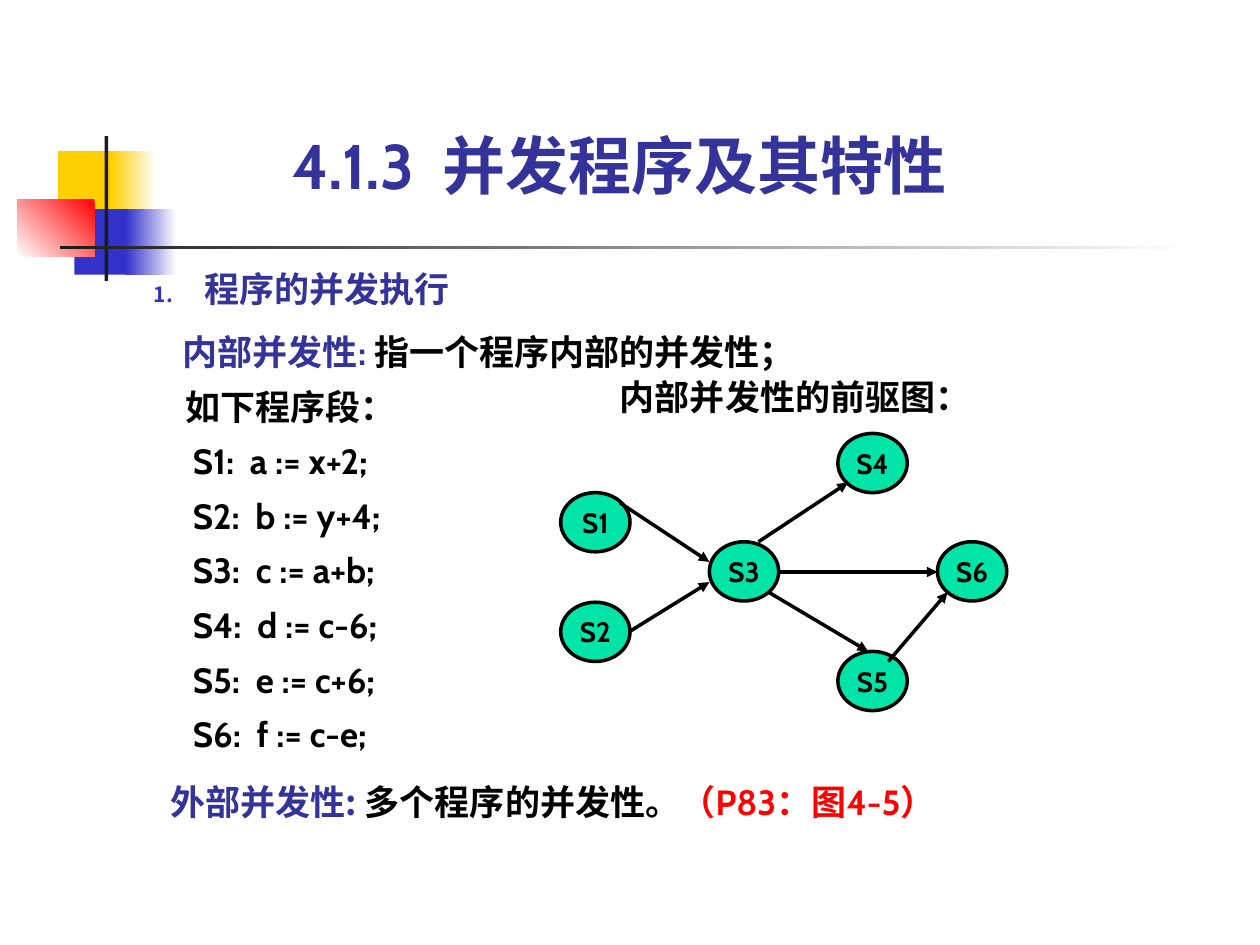
import pptx
import pptx.dml.color
import pptx.enum.shapes
import pptx.enum.text
import pptx.oxml
import pptx.oxml.ns
import pptx.util

Inches = pptx.util.Inches
Pt = pptx.util.Pt
RGBColor = pptx.dml.color.RGBColor
SHAPE = pptx.enum.shapes.MSO_SHAPE
ALIGN = pptx.enum.text.PP_ALIGN
ANCHOR = pptx.enum.text.MSO_ANCHOR
NO_FIT = pptx.enum.text.MSO_AUTO_SIZE.NONE

WHITE = RGBColor(0xFF, 0xFF, 0xFF)
BLACK = RGBColor(0, 0, 0)
RED = RGBColor(0xFF, 0, 0)
YELLOW = RGBColor(0xFF, 0xCF, 0x01)
BLUE = RGBColor(0x33, 0x33, 0xCC)
NAVY = RGBColor(0x33, 0x33, 0x99)
CHARCOAL = RGBColor(0x1C, 0x1C, 0x1C)
GREEN = RGBColor(0x00, 0xE4, 0xA8)

LATIN = "Cabin"
CJK = "Noto Sans CJK SC"
NODE_W, NODE_H = 0.55, 0.47

# left, top, width, height, colours (one is solid, two a gradient), clockwise angle
DECORATION = [
    (0.46, 1.2, 0.48, 0.52, [YELLOW], 0),
    (0.88, 1.2, 0.36, 0.52, [WHITE, YELLOW], 180),
    (0.59, 1.66, 0.46, 0.52, [BLUE], 0),
    (1, 1.66, 0.4, 0.52, [WHITE, BLUE], 180),
    (0.14, 1.58, 0.61, 0.46, [RED, WHITE], 135),
    (0.83, 1.08, 0.03, 1.15, [CHARCOAL], 0),
    (0.48, 1.95, 9, 0.03, [WHITE, CHARCOAL], 180),
]
NODES = {
    "S1": (4.45, 3.91), "S2": (4.45, 4.78), "S3": (5.63, 4.3),
    "S6": (7.44, 4.3), "S4": (6.65, 3.44), "S5": (6.65, 5.17),
}
ARROWS = [
    (4.92, 3.99, 5.63, 4.46), (5, 5.01, 5.63, 4.62),
    (6.02, 4.3, 6.73, 3.83), (6.1, 4.7, 6.89, 5.17),
    (6.18, 4.54, 7.44, 4.54), (7.05, 5.25, 7.52, 4.7),
]
STATEMENTS = ["S1:  a := x+2;", "S2:  b := y+4;", "S3:  c := a+b;",
              "S4:  d := c-6;", "S5:  e := c+6;", "S6:  f := c-e;"]
# left indent, space before, line spacing, runs of (text, colour, font)
BODY = [
    (0.4, 0, 1.3, [("程序的并发执行", NAVY, LATIN)]),
    (0.23, 5, 1.3, [("内部并发性: ", NAVY, LATIN),
                    ("指一个程序内部的并发性；", BLACK, LATIN)]),
    (0.25, 0, 1.3, [("如下程序段：", BLACK, LATIN)]),
    *[(0.31, 0, 1.3, [(code, BLACK, LATIN)]) for code in STATEMENTS],
    (0.13, 12.5, 1.1, [("外部并发性: ", NAVY, CJK),
                       ("多个程序的并发性。", BLACK, CJK),
                       ("（P83：图4-5）", RED, LATIN)]),
]


def set_attrs(obj, values):
    for name, value in values.items():
        setattr(obj, name, value)


def add_xml(parent, xml):
    """Append an element written with the a: prefix."""
    tag, rest = xml.split(" ", 1)
    ns = pptx.oxml.ns.nsdecls("a")
    parent.append(pptx.oxml.parse_xml(f"<a:{tag} {ns} {rest}"))


def add_run(p, text, size, color, font=LATIN):
    r = p.add_run()
    r.text = text
    set_attrs(r.font, {"size": Pt(size), "bold": True, "name": font})
    r.font.color.rgb = color
    add_xml(r.font._element, f'ea typeface="{CJK}"/>')


def place(sp, left, top, width, height):
    box = {"left": left, "top": top, "width": width, "height": height}
    set_attrs(sp, {name: Inches(value) for name, value in box.items()})


def prepare_frame(sp):
    tf = sp.text_frame
    set_attrs(tf, {"word_wrap": True, "auto_size": NO_FIT,
                   "vertical_anchor": ANCHOR.TOP, "margin_left": 0,
                   "margin_right": 0, "margin_top": 0, "margin_bottom": 0})
    return tf


def add_decoration(shapes, left, top, width, height, colors, angle):
    sp = shapes.add_shape(SHAPE.RECTANGLE, *map(Inches, (left, top, width, height)))
    sp.shadow.inherit = False
    sp.line.fill.background()
    if len(colors) == 1:
        sp.fill.solid()
        sp.fill.fore_color.rgb = colors[0]
        return
    sp.fill.gradient()
    sp.fill.gradient_angle = 360 - angle
    for stop, color in zip(sp.fill.gradient_stops, colors):
        stop.color.rgb = color


def fill_title(sp):
    place(sp, 2.32, 1.07, 5.91, 0.54)
    p = prepare_frame(sp).paragraphs[0]
    set_attrs(p, {"alignment": ALIGN.LEFT, "line_spacing": 0.9, "space_before": Pt(0)})
    add_run(p, "4.1.3  并发程序及其特性", 36, NAVY)


def fill_body(sp):
    place(sp, 1.22, 2.02, 6.69, 4.53)
    tf = prepare_frame(sp)
    for i, (indent, before, spacing, runs) in enumerate(BODY):
        p = tf.add_paragraph() if i else tf.paragraphs[0]
        pPr = p._p.get_or_add_pPr()
        pPr.set("marL", str(Inches(indent)))
        pPr.set("indent", str(0 if i else -Inches(indent)))
        if i:
            add_xml(pPr, "buNone />")
        else:
            add_xml(pPr, f'buClr ><a:srgbClr val="{BLUE}"/></a:buClr>')
            add_xml(pPr, 'buSzPct val="60000"/>')
            add_xml(pPr, f'buFont typeface="{LATIN}"/>')
            add_xml(pPr, 'buAutoNum type="arabicPeriod"/>')
        set_attrs(p, {"line_spacing": spacing, "space_before": Pt(before)})
        for text, color, font in runs:
            add_run(p, text, 20, color, font)


def add_node(shapes, label, left, top):
    sp = shapes.add_shape(SHAPE.OVAL, *map(Inches, (left, top, NODE_W, NODE_H)))
    sp.shadow.inherit = False
    sp.fill.solid()
    sp.fill.fore_color.rgb = GREEN
    sp.line.color.rgb = BLACK
    sp.line.width = Pt(2)
    tf = sp.text_frame
    set_attrs(tf, {"word_wrap": False, "vertical_anchor": ANCHOR.MIDDLE})
    p = tf.paragraphs[0]
    p.alignment = ALIGN.CENTER
    add_run(p, label, 16, BLACK)


def add_arrow(shapes, *ends):
    c = shapes.add_connector(pptx.enum.shapes.MSO_CONNECTOR.STRAIGHT, *map(Inches, ends))
    c.line.color.rgb = BLACK
    c.line.width = Pt(2)
    add_xml(c.line._get_or_add_ln(), 'tailEnd type="triangle"/>')
    add_xml(c._element.spPr, "effectLst />")


def add_caption(shapes):
    sp = shapes.add_textbox(*map(Inches, (4.92, 2.88, 2.84, 0.43)))
    p = prepare_frame(sp).paragraphs[0]
    p.line_spacing = 1.3
    add_run(p, "内部并发性的前驱图：", 20, BLACK)


def main():
    prs = pptx.Presentation()
    set_attrs(prs, {"slide_width": Inches(10), "slide_height": Inches(7.5)})
    s = prs.slides.add_slide(prs.slide_layouts[1])
    title, body = s.placeholders
    for item in DECORATION:
        add_decoration(s.shapes, *item)
    for sp in (body, title):
        s.shapes._spTree.append(sp._element)  # bring in front of the decoration
    fill_body(body)
    fill_title(title)
    graph = s.shapes.add_group_shape()
    for label, corner in NODES.items():
        add_node(graph.shapes, label, *corner)
    for ends in ARROWS:
        add_arrow(graph.shapes, *ends)
    add_caption(s.shapes)
    prs.save("out.pptx")


if __name__ == "__main__":
    main()
